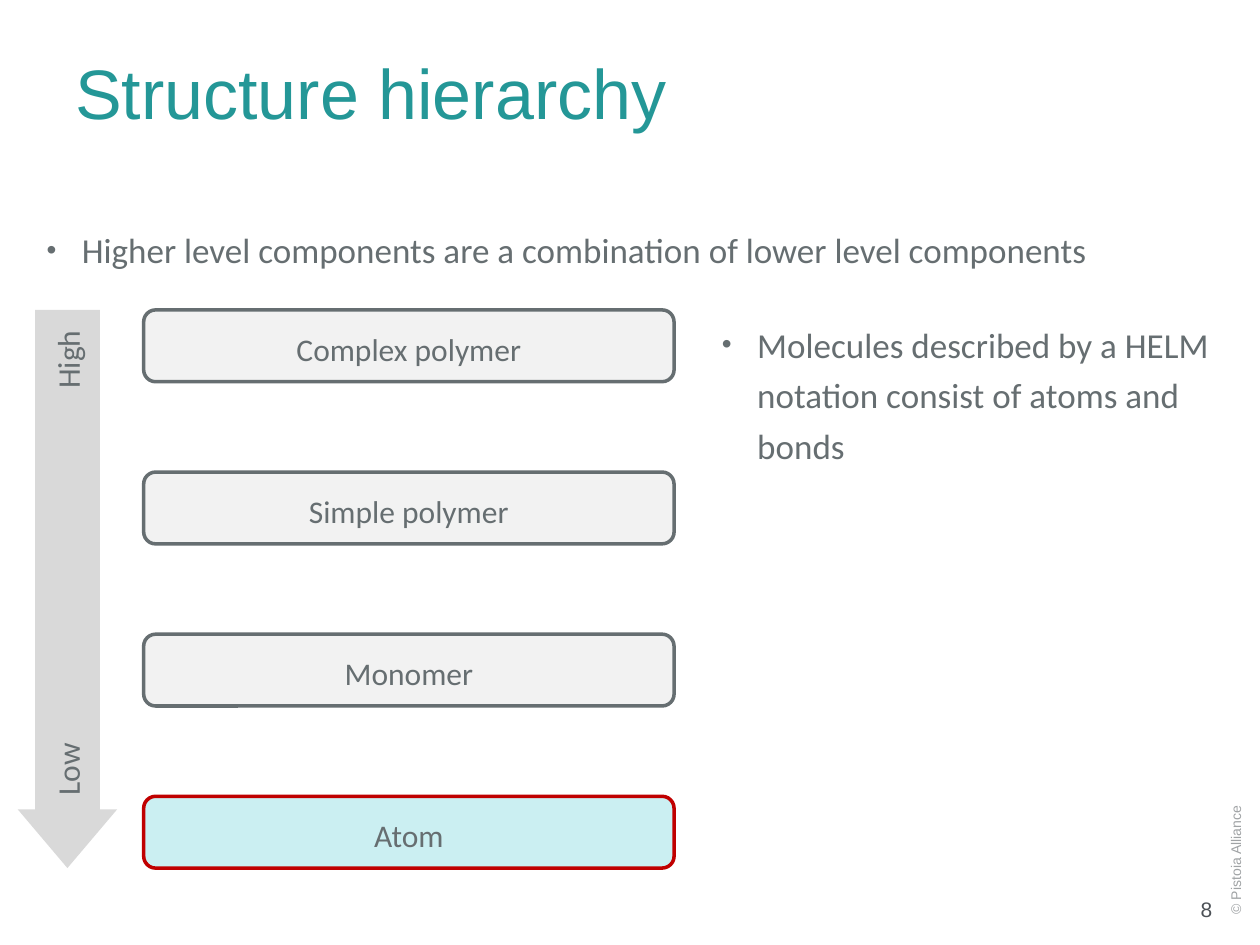
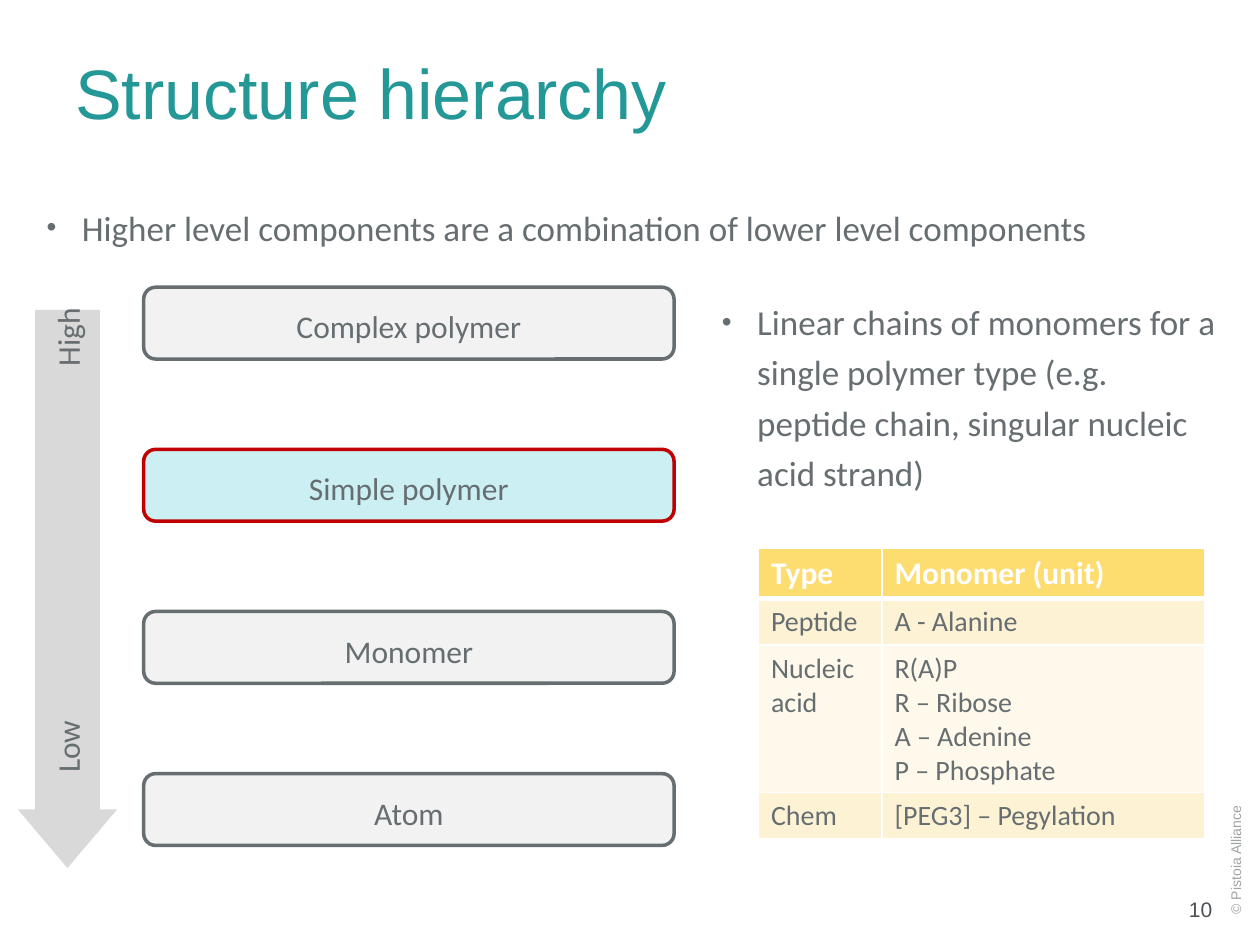
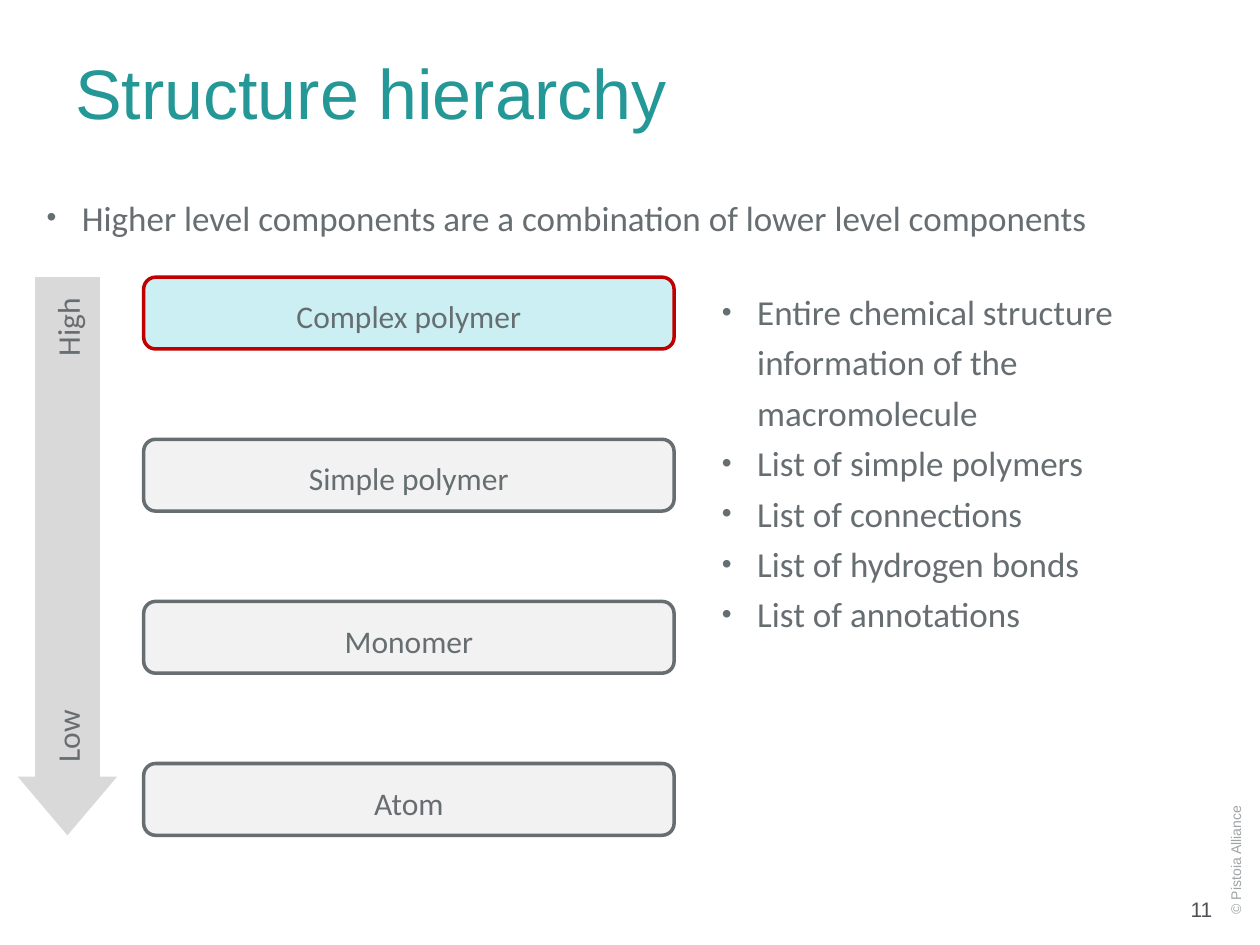
import pptx
import pptx.dml.color
import pptx.enum.shapes
import pptx.enum.text
import pptx.oxml
import pptx.oxml.ns
import pptx.util

Inches = pptx.util.Inches
RGBColor = pptx.dml.color.RGBColor
Shapes = pptx.enum.shapes.MSO_SHAPE
Align = pptx.enum.text.PP_ALIGN
Anchor = pptx.enum.text.MSO_ANCHOR

TEAL = RGBColor(0x24, 0x97, 0x97)
SLATE = RGBColor(0x66, 0x6E, 0x71)
CREDIT_GREY = RGBColor(0xA0, 0xA3, 0xA5)
NUMBER_GREY = RGBColor(0x4C, 0x51, 0x56)
ARROW_GREY = RGBColor(0xD9, 0xD9, 0xD9)
PALE_GREY = RGBColor(0xF2, 0xF2, 0xF2)
PALE_AQUA = RGBColor(0xCB, 0xEF, 0xF2)
RED = RGBColor(0xC0, 0x00, 0x00)
WHITE = RGBColor(0xFF, 0xFF, 0xFF)
GOLD = RGBColor(0xFD, 0xDC, 0x70)
BAND_DARK = RGBColor(0xFE, 0xF2, 0xD5)
BAND_LIGHT = RGBColor(0xFF, 0xF9, 0xEB)

LEVELS = [("Complex polymer", 2.15), ("Simple polymer", 1.93),
          ("Monomer", 1.21), ("Atom", 0.78)]
LEVEL_LEFT, LEVEL_WIDTH, LEVEL_HEIGHT = 1.14, 4.21, 0.57
LEVEL_PITCH = 3.86 / 3
LABEL_HEIGHT = 0.39
AXIS_CENTER = 0.53

UNITS = [
    ("Type", "Monomer (unit)"),
    ("Peptide", "A - Alanine"),
    ("Nucleic acid", "R(A)P\nR – Ribose\nA – Adenine\nP – Phosphate"),
    ("Chem", "[PEG3] – Pegylation"),
]

SLIDES = [
    dict(number="8", level="Atom", top=2.46, arrow_top=2.46, notes_height=1.3,
         notes=["Molecules described by a HELM notation consist of atoms and bonds"]),
    dict(number="10", level="Simple polymer", top=2.28, arrow_top=2.46, notes_height=1.7,
         notes=["Linear chains of monomers for a single polymer type "
                "(e.g. peptide chain, singular nucleic acid strand)"], units=UNITS),
    dict(number="11", level="Complex polymer", top=2.2, arrow_top=2.2, notes_height=2.91,
         notes=["Entire chemical structure information of the macromolecule",
                "List of simple polymers", "List of connections",
                "List of hydrogen bonds", "List of annotations"]),
]


class HierarchyDeck:
    def __init__(self):
        self.deck = pptx.Presentation()
        self.deck.slide_width = Inches(10)
        self.deck.slide_height = Inches(7.5)
        self.slide = None

    def start_slide(self, number):
        self.slide = self.deck.slides.add_slide(self.deck.slide_layouts[6])
        credit = self.text("© Pistoia Alliance", 9.17, 6.52, 1.27, 0.4, 8, CREDIT_GREY,
                           font="Arial", anchor=Anchor.MIDDLE)
        credit.rotation = 270
        self.text("Structure hierarchy", 0.5, 0.25, 9, 0.95, 40, TEAL,
                  font="Arial", anchor=Anchor.MIDDLE)
        self.text(number, 9.25, 7.06, 0.47, 0.31, 12, NUMBER_GREY,
                  font="Arial", align=Align.RIGHT, anchor=Anchor.MIDDLE)

    def style(self, frame, size, color, font="Calibri", align=Align.LEFT, bold=False):
        for paragraph in frame.paragraphs:
            paragraph.alignment = align
            for run in paragraph.runs:
                run.font.name = font
                run.font.size = pptx.util.Pt(size)
                run.font.bold = bold
                run.font.color.rgb = color

    def text(self, words, left, top, width, height, size, color,
             font="Calibri", align=Align.LEFT, anchor=Anchor.TOP, wrap=True):
        box = self.slide.shapes.add_textbox(
            Inches(left), Inches(top), Inches(width), Inches(height))
        frame = box.text_frame
        frame.word_wrap = wrap
        frame.vertical_anchor = anchor
        frame.text = words
        self.style(frame, size, color, font, align)
        return box

    def bullets(self, points, left, top, width, height, spacing):
        box = self.text("\n".join(points), left, top, width, height, 20, SLATE)
        box.text_frame.margin_left = box.text_frame.margin_right = Inches(0.09)
        for paragraph in box.text_frame.paragraphs:
            paragraph.line_spacing = spacing
            properties = paragraph._p.get_or_add_pPr()
            properties.set("marL", str(Inches(0.28)))
            properties.set("indent", str(-Inches(0.28)))
            for tag, key, value in (("a:buSzPct", "val", "80000"),
                                    ("a:buFont", "typeface", "Arial"),
                                    ("a:buChar", "char", "•")):
                bullet = pptx.oxml.parse_xml(f"<{tag} {pptx.oxml.ns.nsdecls('a')}/>")
                bullet.set(key, value)
                properties.append(bullet)

    def label(self, words, center, top, width):
        box = self.text(words, center - width / 2, top, width, LABEL_HEIGHT,
                        18, SLATE, align=Align.CENTER, wrap=False)
        box.text_frame.margin_left = box.text_frame.margin_right = Inches(0.04)
        return box

    def shape(self, kind, left, top, width, height, fill, outline=None):
        figure = self.slide.shapes.add_shape(
            kind, Inches(left), Inches(top), Inches(width), Inches(height))
        figure.shadow.inherit = False
        figure.fill.solid()
        figure.fill.fore_color.rgb = fill
        if outline is None:
            figure.line.fill.background()
        else:
            figure.line.color.rgb = outline
            figure.line.width = pptx.util.Pt(2)
        return figure

    def levels(self, first_top, current):
        for index, (name, width) in enumerate(LEVELS):
            top = first_top + index * LEVEL_PITCH
            fill, outline = (PALE_AQUA, RED) if name == current else (PALE_GREY, SLATE)
            self.shape(Shapes.ROUNDED_RECTANGLE, LEVEL_LEFT, top,
                       LEVEL_WIDTH, LEVEL_HEIGHT, fill, outline)
            self.label(name, LEVEL_LEFT + LEVEL_WIDTH / 2, top + 0.11, width)

    def axis(self, arrow_top, level_top):
        arrow = self.shape(Shapes.DOWN_ARROW, 0.14, arrow_top, 0.79, 4.43, ARROW_GREY)
        arrow.adjustments[0] = 0.65
        arrow.adjustments[1] = 0.59
        for name, offset, width in (("High", 0.2, 0.68), ("Low", 3.45, 0.63)):
            self.label(name, AXIS_CENTER, level_top + offset, width).rotation = 270

    def border(self, cell, side, points):
        cell._tc.get_or_add_tcPr().append(pptx.oxml.parse_xml(
            f'<a:{side} {pptx.oxml.ns.nsdecls("a")} w="{pptx.util.Pt(points)}">'
            f'<a:solidFill><a:srgbClr val="{WHITE}"/></a:solidFill></a:{side}>'))

    def table(self, rows, left, top, widths, heights):
        grid = self.slide.shapes.add_table(
            len(rows), len(widths), Inches(left), Inches(top),
            Inches(sum(widths)), Inches(sum(heights))).table
        grid.horz_banding = False
        for column, width in zip(grid.columns, widths):
            column.width = Inches(width)
        for index, (row, height) in enumerate(zip(grid.rows, heights)):
            row.height = Inches(height)
            header = index == 0
            fill = GOLD if header else (BAND_LIGHT, BAND_DARK)[index % 2]
            for cell, words in zip(row.cells, rows[index]):
                for side in ("lnL", "lnR", "lnT", "lnB"):
                    under_header = (index, side) in ((0, "lnB"), (1, "lnT"))
                    self.border(cell, side, 3 if under_header else 1)
                cell.fill.solid()
                cell.fill.fore_color.rgb = fill
                cell.text_frame.text = words
                self.style(cell.text_frame, 18 if header else 16,
                           WHITE if header else SLATE, bold=header)


def main():
    hierarchy = HierarchyDeck()
    for page in SLIDES:
        top = page["top"]
        hierarchy.start_slide(page["number"])
        hierarchy.bullets(
            ["Higher level components are a combination of lower level components"],
            0.28, top - 0.86, 9.5, 2.55, 1.5)
        hierarchy.levels(top, page["level"])
        hierarchy.axis(page["arrow_top"], top)
        hierarchy.bullets(page["notes"], 5.64, top - 0.01, 4.14, page["notes_height"], 1.2)
        if "units" in page:
            hierarchy.table(page["units"], 6.02, 4.35, [0.98, 2.56], [0.39, 0.37, 1.17, 0.37])
    hierarchy.deck.save("out.pptx")


if __name__ == "__main__":
    main()
